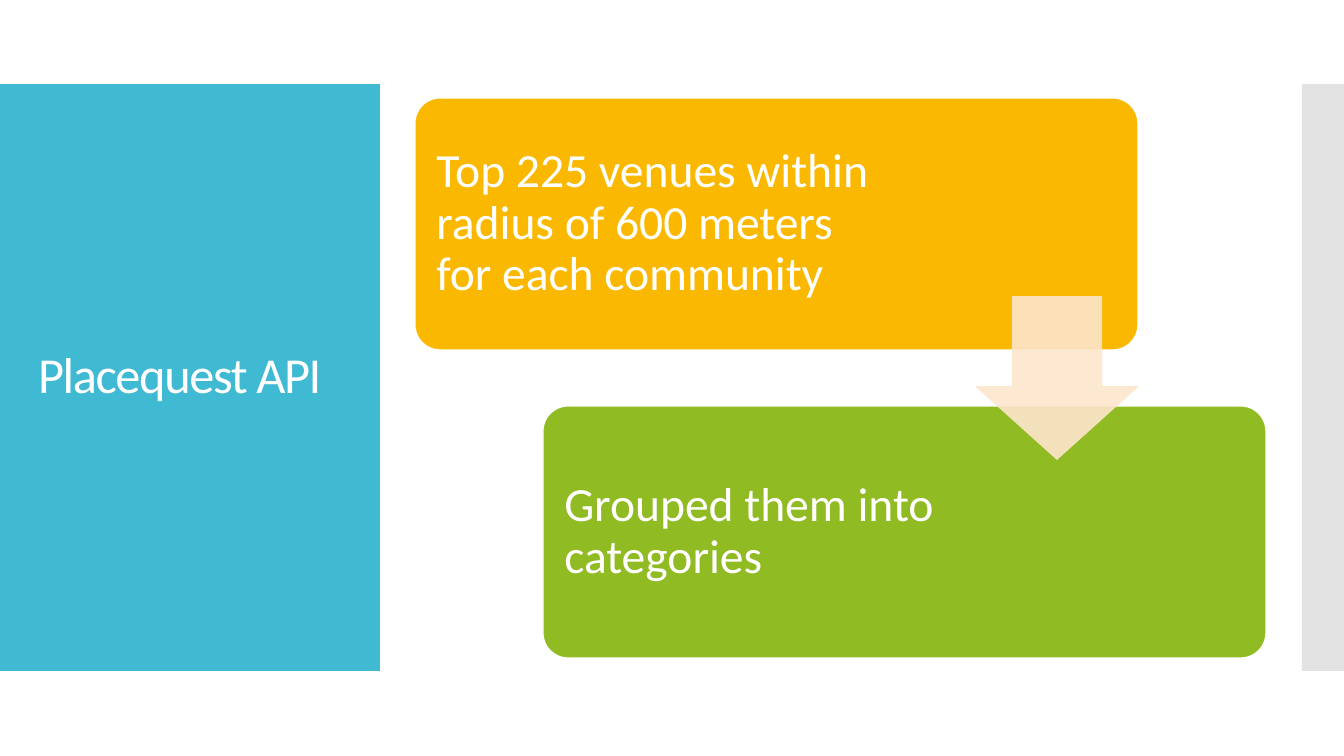
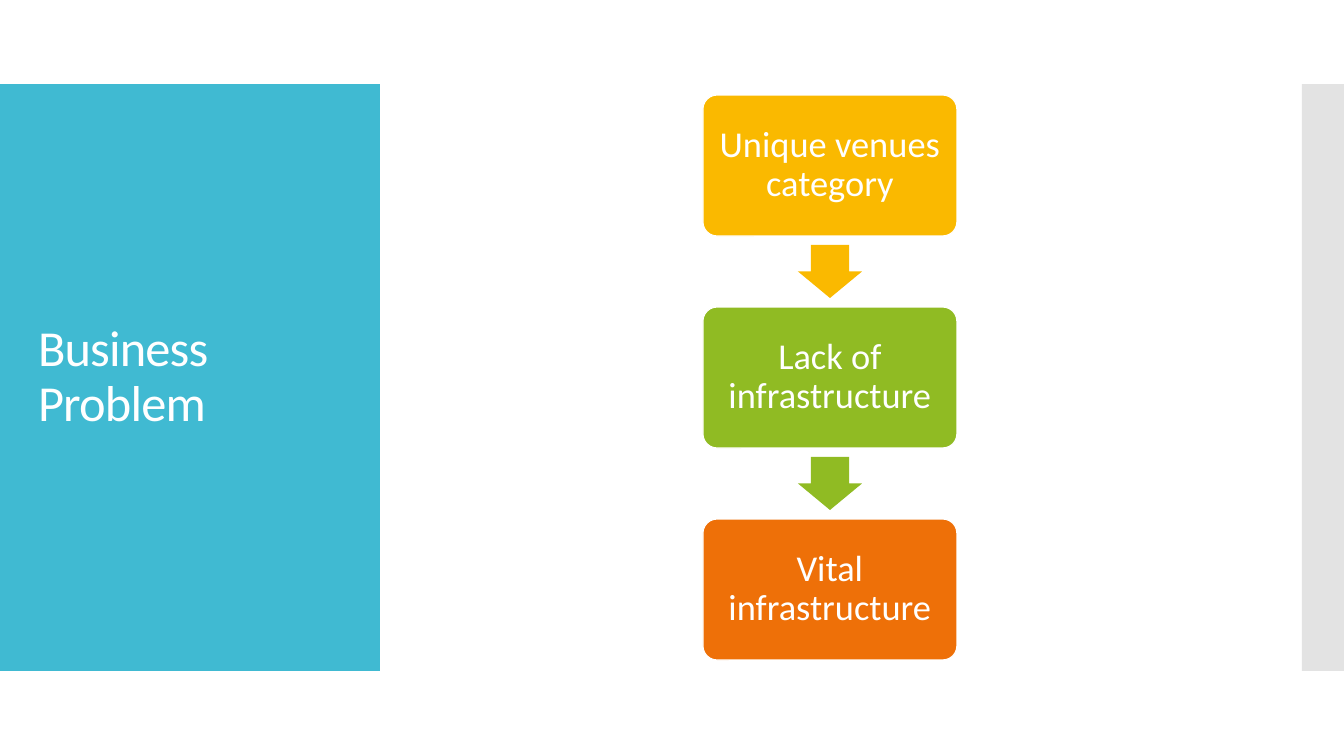
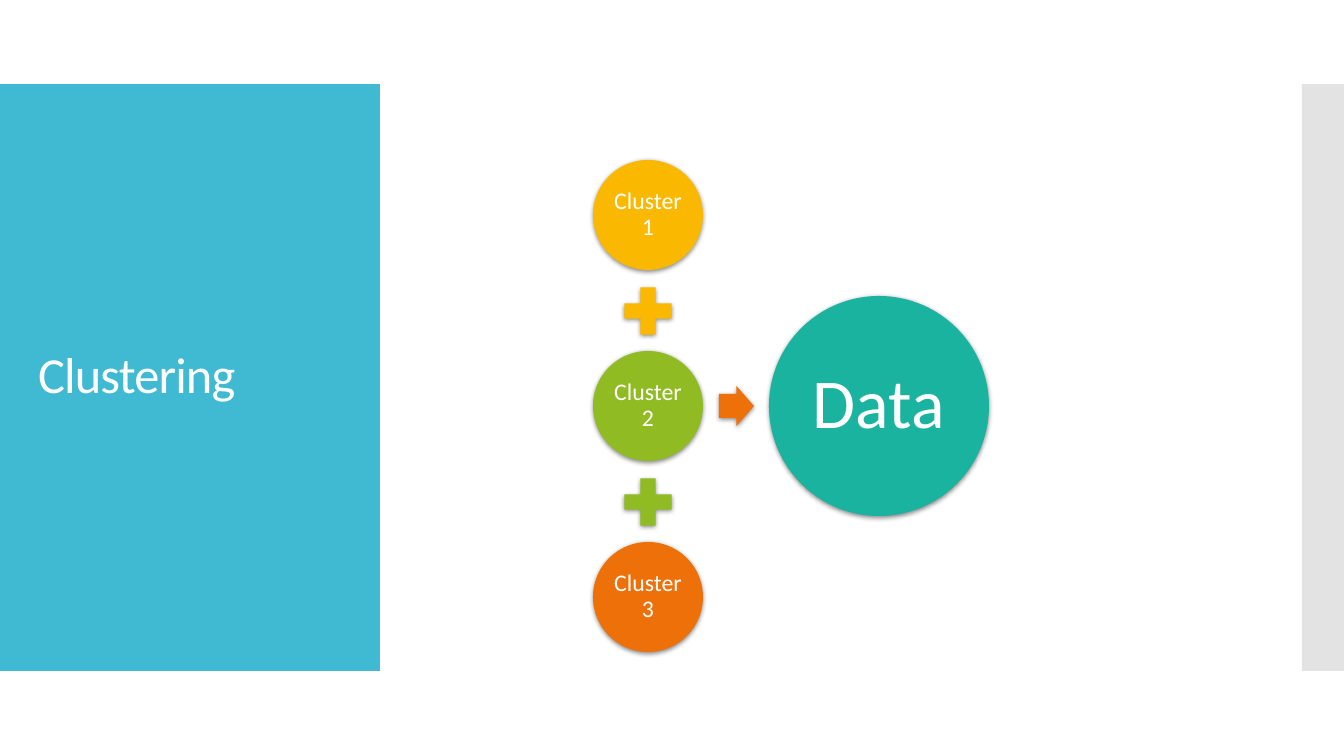
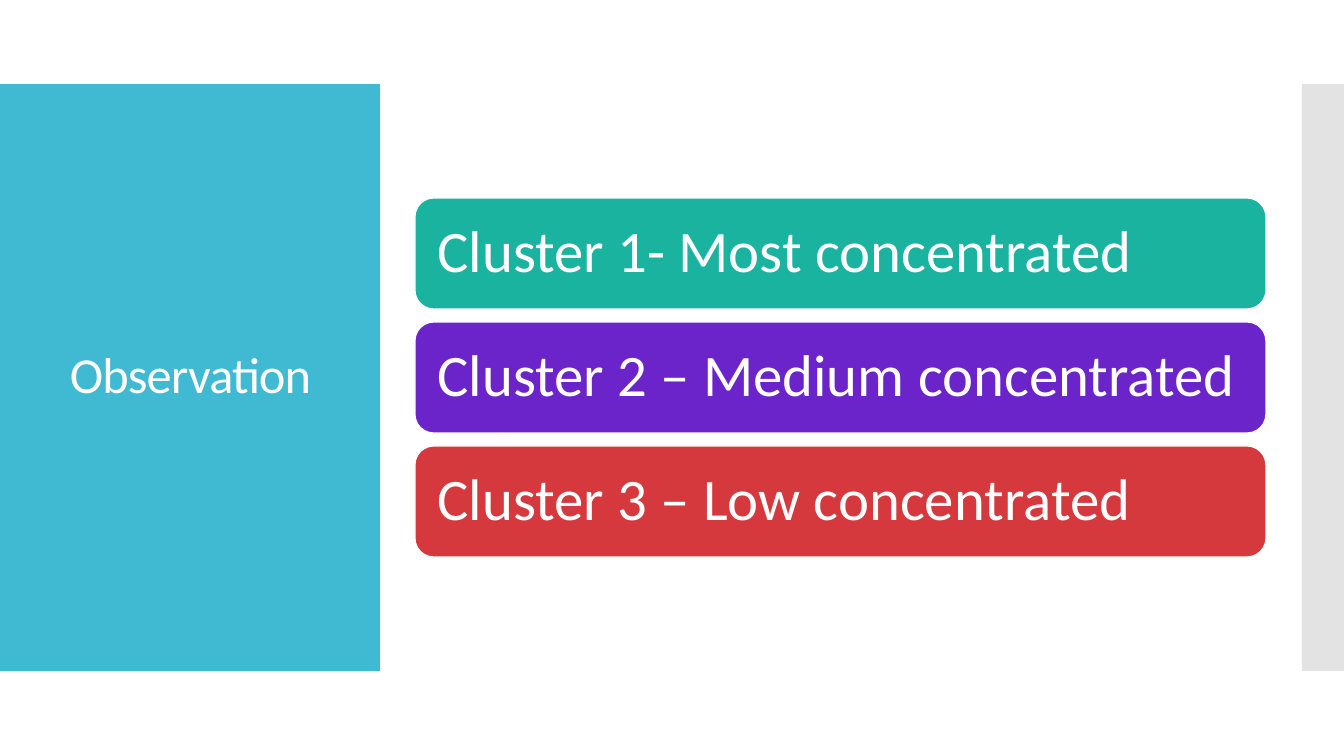
import lxml.etree
import pptx
import pptx.dml.color
import pptx.enum.shapes
import pptx.enum.text
import pptx.oxml.ns
import pptx.util

SHAPE = pptx.enum.shapes.MSO_SHAPE
ALIGN = pptx.enum.text.PP_ALIGN
EMU_PER_PX = 914400 / 100.8
WHITE, BLUE, GREY, CREAM = "FFFFFF", "40BAD2", "C8C8C8", "FDE6CC"
YELLOW, GREEN, ORANGE = "FAB900", "90BB23", "EE7008"
TEAL, PURPLE, RED = "1AB39F", "6A24CA", "D5393D"


def px(length):
    return pptx.util.Emu(round(length * EMU_PER_PX))


def rgb(color):
    return pptx.dml.color.RGBColor.from_string(color)


def sub(parent, tag, **attributes):
    return lxml.etree.SubElement(parent, pptx.oxml.ns.qn(tag), attributes)


class Deck:
    """Holds the shared style and the slide being drawn."""

    font = "Calibri"
    line_spacing = 0.9
    bands = ((0, 380, BLUE, 100), (1302, 42, GREY, 50))

    def __init__(self):
        self.presentation = pptx.Presentation()
        self.presentation.slide_width = px(1344)
        self.presentation.slide_height = px(756)
        self.layout = self.presentation.slide_layouts[5]
        self.slide = None

    def start_slide(self, title, align=ALIGN.LEFT, tracking=-60):
        self.slide = self.presentation.slides.add_slide(self.layout)
        if len(self.presentation.slides) == 1:
            self.add_bands_to_layout()
        heading = self.slide.shapes.title
        heading.left, heading.top, heading.width, heading.height = map(px, (28, 124, 325, 507))
        paragraph = self.set_text(heading, title, 36, align, (10, 5, 10, 5))
        paragraph._p.get_or_add_pPr().get_or_add_defRPr().set("spc", str(tracking))

    def add_bands_to_layout(self):
        for index, (left, width, color, opacity) in enumerate(self.bands):
            band = self.shape(SHAPE.RECTANGLE, (left, 84, width, 587), color, opacity=opacity)
            band.element.nvSpPr.cNvPr.id = 20 + index
            self.layout.shapes.element.insert(2 + index, band.element)

    def set_text(self, shape, text, size, align, insets):
        frame = shape.text_frame
        frame.text = text
        frame.word_wrap = True
        frame.auto_size = pptx.enum.text.MSO_AUTO_SIZE.NONE
        frame.vertical_anchor = pptx.enum.text.MSO_ANCHOR.MIDDLE
        frame.margin_left, frame.margin_top, frame.margin_right, frame.margin_bottom = map(px, insets)
        paragraph = frame.paragraphs[0]
        paragraph.alignment = align
        paragraph.line_spacing = self.line_spacing
        paragraph.font.name = self.font
        paragraph.font.size = pptx.util.Pt(size)
        paragraph.font.bold = False
        paragraph.font.color.rgb = rgb(WHITE)
        return paragraph

    def shape(self, kind, box, color, adjustments=(), opacity=100, shadow=False):
        shape = self.slide.shapes.add_shape(kind, *map(px, box))
        shape.fill.solid()
        shape.fill.fore_color.rgb = rgb(color)
        shape.line.fill.background()
        shape.shadow.inherit = False
        for index, value in enumerate(adjustments):
            shape.adjustments[index] = value
        properties = shape.element.spPr
        if opacity < 100:
            fill_color = properties.find(pptx.oxml.ns.qn("a:solidFill"))[0]
            sub(fill_color, "a:alpha", val=str(opacity * 1000))
        if shadow:
            effects = properties.find(pptx.oxml.ns.qn("a:effectLst"))
            outer = sub(effects, "a:outerShdw", blurRad=str(pptx.util.Pt(3.5)),
                        dist=str(pptx.util.Pt(1.1)), dir="5400000", rotWithShape="0")
            sub(sub(outer, "a:srgbClr", val="000000"), "a:alpha", val="45000")
        return shape

    def card(self, box, color, text, size, inset, align=ALIGN.LEFT, corner=0.1, right=None):
        card = self.shape(SHAPE.ROUNDED_RECTANGLE, box, color, (corner,))
        card.line.color.rgb = rgb(WHITE)
        card.line.width = pptx.util.Pt(0.85)
        self.set_text(card, text, size, align, (inset, inset, right or inset, inset))

    def circle(self, box, color, text, size, inset):
        circle = self.shape(SHAPE.OVAL, box, color, shadow=True)
        self.set_text(circle, text, size, ALIGN.CENTER, (inset,) * 4)


def venue_source(deck):
    deck.start_slide("Placequest API", tracking=-100)
    deck.card((415, 98, 723, 252), YELLOW,
              "Top 225 venues within radius of 600 meters for each community", 34, 14, right=259)
    deck.card((543, 406, 723, 252), GREEN, "Grouped them into categories", 34, 14, right=306)
    deck.shape(SHAPE.DOWN_ARROW, (975, 296, 164, 164), CREAM, (0.55, 0.45), opacity=90)


def business_problem(deck):
    deck.start_slide("Business Problem")
    steps = (("Unique venues category", YELLOW), ("Lack of infrastructure", GREEN),
             ("Vital infrastructure", ORANGE))
    for index, (step, color) in enumerate(steps):
        top = 95 + 212 * index
        deck.card((703, top, 254, 141), color, step, 26, 11, ALIGN.CENTER)
        if index < len(steps) - 1:
            deck.shape(SHAPE.DOWN_ARROW, (798, top + 150, 64, 53), color, (0.6, 0.5))


def clustering(deck):
    deck.start_slide("Clustering")
    colors = (YELLOW, GREEN, ORANGE)
    for index, color in enumerate(colors):
        top = 160 + 191 * index
        deck.circle((593, top, 110, 110), color, f"Cluster {index + 1}", 17, 2)
        if index < len(colors) - 1:
            deck.shape(SHAPE.MATH_PLUS, (616, top + 119, 64, 64), color, shadow=True)
    deck.shape(SHAPE.RIGHT_ARROW, (719, 386, 35, 40), ORANGE, (0.6, 0.5), shadow=True)
    deck.circle((769, 296, 220, 220), TEAL, "Data", 50, 7)


def observation(deck):
    deck.start_slide("Observation", ALIGN.CENTER)
    findings = (("Cluster 1- Most concentrated", TEAL), ("Cluster 2 – Medium concentrated", PURPLE),
                ("Cluster 3 – Low concentrated", RED))
    for index, (finding, color) in enumerate(findings):
        deck.card((415, 198 + 124 * index, 851, 111), color, finding, 42, 17, corner=0.17)


def main():
    deck = Deck()
    for draw in (venue_source, business_problem, clustering, observation):
        draw(deck)
    deck.presentation.save("out.pptx")


if __name__ == "__main__":
    main()
